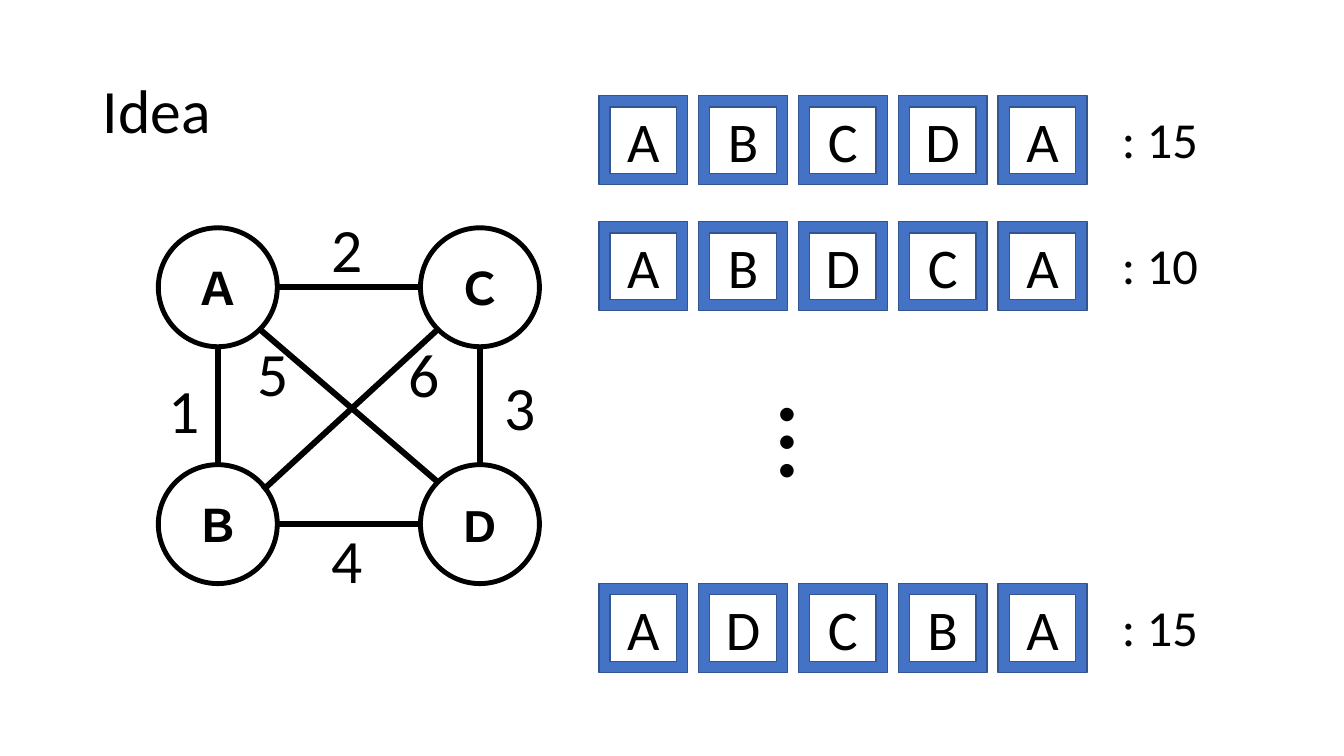
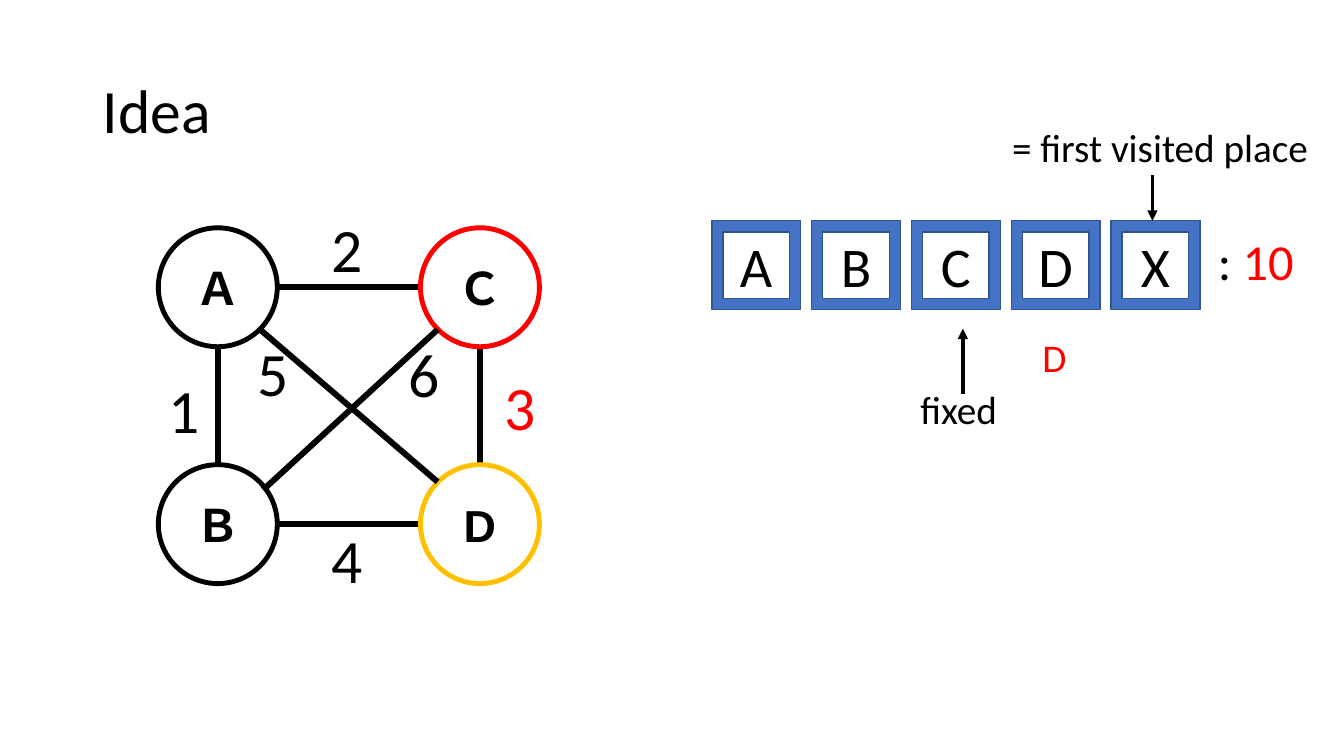
"""Builds two slides on the idea of comparing round trips through a weighted graph."""
from lxml.etree import SubElement
from pptx import Presentation
from pptx.dml.color import RGBColor
from pptx.enum.shapes import MSO_CONNECTOR, MSO_SHAPE
from pptx.enum.text import MSO_ANCHOR, PP_ALIGN
from pptx.oxml.ns import qn
from pptx.util import Inches, Pt

BLACK = RGBColor(0x00, 0x00, 0x00)
WHITE = RGBColor(0xFF, 0xFF, 0xFF)
RED = RGBColor(0xFF, 0x00, 0x00)
GOLD = RGBColor(0xFF, 0xC0, 0x00)
BLUE = RGBColor(0x44, 0x72, 0xC4)
DARK_BLUE = RGBColor(0x32, 0x54, 0x91)
FONT = "Calibri"

NODE_SIZE = 1.18
COLUMN_PITCH = 2.6
ROW_PITCH = 2.35
NODES = [("Ａ", 0, 0, FONT), ("Ｃ", 1, 0, FONT), ("Ｂ", 0, 1, FONT), ("D", 1, 1, "Arial")]
DIAGONALS = [(1.01, 1.01, 2.77, 2.52), (1.04, 2.6, 2.77, 1.01)]
WEIGHTS = [("1", 0, 1.38), ("2", 1.62, -0.22), ("3", 3.34, 1.35),
           ("4", 1.62, 2.87), ("5", 0.89, 1.01), ("6", 2.38, 1.02)]
TILE_SIZE = 0.88
TILE_PITCH = 0.99


def format_span(span, size, color=BLACK, font=FONT, bold=False):
    """Set the font of one run."""
    span.font.name = font
    span.font.size = Pt(size)
    span.font.bold = bold
    span.font.color.rgb = color


def add_label(page, left, top, width, height, spans, size):
    """Add an unwrapped text box made of (text, colour) spans."""
    box = page.shapes.add_textbox(Inches(left), Inches(top), Inches(width), Inches(height))
    box.text_frame.word_wrap = False
    para = box.text_frame.paragraphs[0]
    for text, color in spans:
        span = para.add_run()
        span.text = text
        format_span(span, size, color)
    return box


def add_figure(page, kind, left, top, width, height, fill, line, weight):
    """Add a preset shape without shadow; no fill colour leaves it open."""
    figure = page.shapes.add_shape(kind, Inches(left), Inches(top), Inches(width), Inches(height))
    figure.shadow.inherit = False
    if fill is None:
        figure.fill.background()
    else:
        figure.fill.solid()
        figure.fill.fore_color.rgb = fill
    figure.line.color.rgb = line
    figure.line.width = Pt(weight)
    return figure


def set_figure_text(figure, text, size, font=FONT, bold=False):
    """Centre a short text in a shape."""
    figure.text_frame.text = text
    figure.text_frame.vertical_anchor = MSO_ANCHOR.MIDDLE
    para = figure.text_frame.paragraphs[0]
    para.alignment = PP_ALIGN.CENTER
    format_span(para.runs[0], size, font=font, bold=bold)


def add_line(page, start_x, start_y, end_x, end_y, weight, arrow=False):
    """Add a black straight line, with an arrowhead at its end if asked."""
    line = page.shapes.add_connector(MSO_CONNECTOR.STRAIGHT, Inches(start_x), Inches(start_y),
                                     Inches(end_x), Inches(end_y))
    line.line.color.rgb = BLACK
    line.line.width = Pt(weight)
    if arrow:
        SubElement(line.line._get_or_add_ln(), qn("a:tailEnd"), type="triangle")
    SubElement(line._element.spPr, qn("a:effectLst"))


def add_page(deck, title):
    """Add a slide with the shared title style."""
    page = deck.slides.add_slide(deck.slide_layouts[5])
    box = page.shapes.title
    box.left, box.top, box.width, box.height = (Inches(n) for n in (0.92, 0.4, 11.5, 1.45))
    box.text_frame.text = title
    box.text_frame.vertical_anchor = MSO_ANCHOR.MIDDLE
    para = box.text_frame.paragraphs[0]
    para.alignment = PP_ALIGN.LEFT
    para.line_spacing = 0.9
    format_span(para.runs[0], 44)
    return page


def draw_graph(page, left, top, node_colors, weight_colors):
    """Draw the four-node graph with its weights; unlisted colours are black."""
    add_figure(page, MSO_SHAPE.RECTANGLE, left + NODE_SIZE / 2, top + NODE_SIZE / 2,
               COLUMN_PITCH, ROW_PITCH, None, BLACK, 4.5)
    for name, column, row, font in NODES:
        node = add_figure(page, MSO_SHAPE.OVAL, left + column * COLUMN_PITCH,
                          top + row * ROW_PITCH, NODE_SIZE, NODE_SIZE,
                          WHITE, node_colors.get(name, BLACK), 3.5)
        set_figure_text(node, name, 32, font, bold=True)
    for start_x, start_y, end_x, end_y in DIAGONALS:
        add_line(page, left + start_x, top + start_y, left + end_x, top + end_y, 4.25)
    for weight, x, y in WEIGHTS:
        spans = [(weight, weight_colors.get(weight, BLACK))]
        add_label(page, left + x, top + y, 0.51, 0.84, spans, 44)


def draw_route(page, left, top, places, cost, cost_x=5.09, cost_y=0.07):
    """Draw a row of framed places followed by the cost of the route."""
    for index, place in enumerate(places):
        tile = add_figure(page, MSO_SHAPE.FRAME, left + index * TILE_PITCH, top,
                          TILE_SIZE, TILE_SIZE, BLUE, DARK_BLUE, 1)
        set_figure_text(tile, place, 40)
    add_label(page, left + cost_x, top + cost_y, 0.96, 0.71, cost, 36)


def draw_route_notes(page, left, top):
    """Annotate the route whose first tile starts at the given corner."""
    add_line(page, left + 4.37, top - 0.45, left + 4.37, top, 2.5, arrow=True)
    add_line(page, left + 2.49, top + 1.72, left + 2.49, top + 1.07, 2.5, arrow=True)
    for text, color, x, y, width in [("= first visited place", BLACK, 2.88, -1.02, 3.17),
                                     ("fixed", BLACK, 1.97, 1.58, 0.97),
                                     ("D", RED, 3.18, 1.07, 0.44)]:
        add_label(page, left + x, top + y, width, 0.57, [(text, color)], 28)


def build_all_routes(deck):
    """Build the slide that lists every route with its cost."""
    page = add_page(deck, "Idea")
    draw_graph(page, 1.57, 2.26, {}, {})
    for top, places, cost in [(0.95, "ABCDA", ": 15"), (2.2, "ABDCA", ": 10"),
                              (5.79, "ADCBA", ": 15")]:
        draw_route(page, 5.94, top, places, [(cost, BLACK)])
    dots = add_label(page, 7.36, 3.91, 1.55, 0.88, [("…", BLACK)], 80)
    dots.text_frame._txBody.bodyPr.set("vert", "eaVert")


def build_fixed_place(deck):
    """Build the slide that fixes one place of a single route."""
    page = add_page(deck, "Idea")
    left, top = 7.06, 2.19
    draw_route(page, left, top, "ABCDX", [(": ", BLACK), ("10", RED)], 4.92, 0.04)
    draw_route_notes(page, left, top)
    draw_graph(page, 1.57, 2.26, {"Ｃ": RED, "D": GOLD}, {"3": RED})


def main():
    """Build and save the deck."""
    deck = Presentation()
    deck.slide_width = Inches(13.33)
    deck.slide_height = Inches(7.5)
    build_all_routes(deck)
    build_fixed_place(deck)
    deck.save("out.pptx")


if __name__ == "__main__":
    main()
